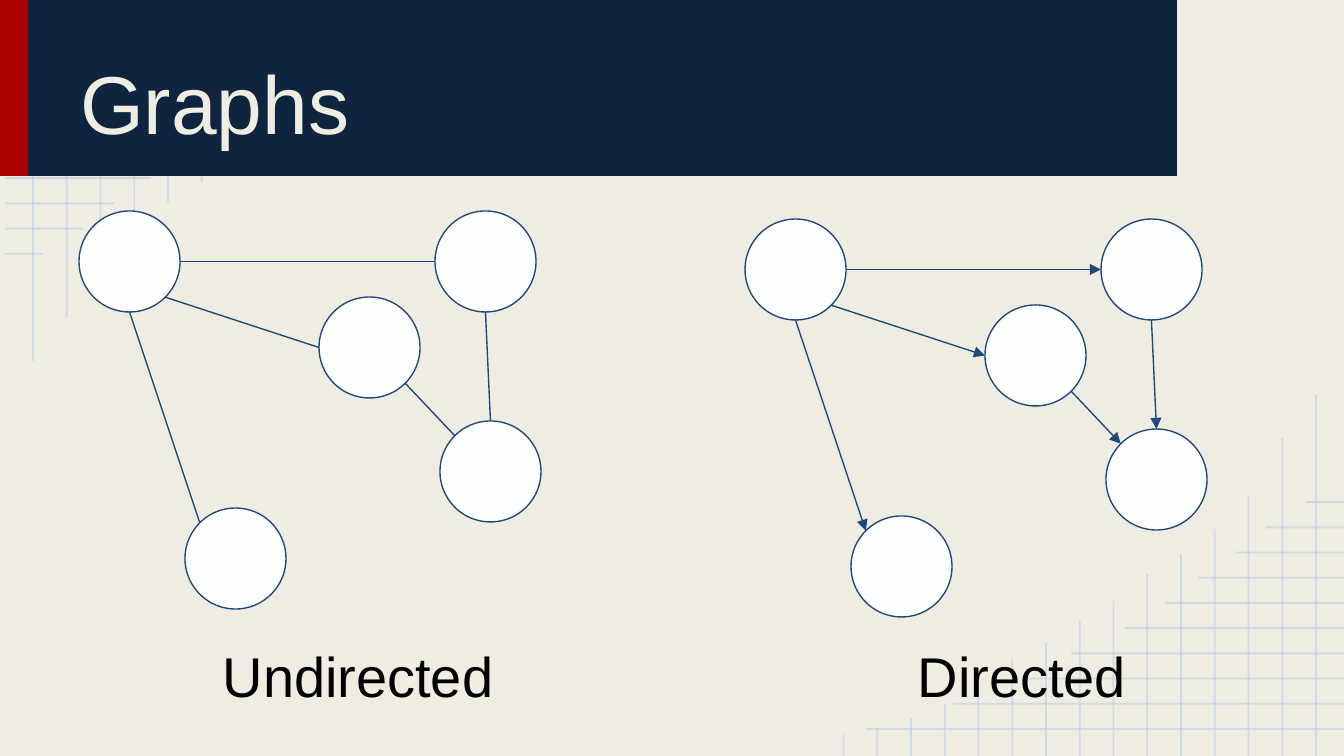
import math
from dataclasses import dataclass

import pptx
import pptx.util
from lxml import etree
from pptx.dml.color import RGBColor
from pptx.enum.shapes import MSO_CONNECTOR, MSO_SHAPE
from pptx.enum.text import MSO_ANCHOR, PP_ALIGN
from pptx.oxml.ns import qn


@dataclass(frozen=True)
class Theme:
    paper: str = "EFEDE2"
    navy: str = "0F243E"
    red: str = "AB0101"
    grid: str = "B7CCE4"
    node: str = "FDFFFF"
    edge: str = "1F497D"
    ink: str = "000000"
    font: str = "Arial"
    title_pt: int = 44
    caption_pt: int = 30
    grid_pt: float = 1
    edge_pt: float = 0.75
    grid_alpha: int = 54


THEME = Theme()
WIDTH, HEIGHT = 1344, 756
EMU_PER_PX = 914400 / 134.4

TITLE = ("Graphs", (67, 15, 1075, 149))
HEADER = [(THEME.red, (0, 0, 28, 176)), (THEME.navy, (28, 0, 1149, 176))]

# Corner grid, measured from the top left; the other corner is the same, turned by 180 degrees
ROW_ENDS = [482, 396, 324, 278, 224, 184, 151, 114, 83, 43]
COLUMN_ENDS = [361, 318, 260, 227, 202, 182, 155, 135, 113, 97, 75, 52, 38, 27, 21]
ROW_START, FIRST_ROW, ROW_STEP = 5, 27, 25.2
FIRST_COLUMN, COLUMN_STEP = 33, 33.75
GRID_TURN = (1349, 756)

NODE_SIZE = 101
NODES = {"a": (0, 0), "b": (356, 0), "c": (240, 86), "d": (361, 210), "e": (106, 297)}
# Start node and the angle it is left at, end node and the angle it is reached at
EDGES = [
    ("a", 0, "b", 180),
    ("a", 90, "e", 225),
    ("a", 45, "c", 180),
    ("b", 90, "d", 270),
    ("c", 45, "d", 225),
]
GRAPHS = [
    {"caption": "Undirected", "origin": (79, 211), "caption_box": (59, 628, 598, 114), "directed": False},
    {"caption": "Directed", "origin": (745, 219), "caption_box": (723, 628, 598, 114), "directed": True},
]


def px(value):
    return pptx.util.Emu(round(value * EMU_PER_PX))


def rgb(code):
    return RGBColor.from_string(code)


def add_line(slide, start, end, color, width, alpha=None, arrow=False):
    line = slide.shapes.add_connector(MSO_CONNECTOR.STRAIGHT, *map(px, (*start, *end)))
    line.line.color.rgb = rgb(color)
    line.line.width = pptx.util.Pt(width)
    properties = line._element.spPr
    outline = properties.find(qn("a:ln"))
    if alpha is not None:
        color_node = outline.find(".//" + qn("a:srgbClr"))
        etree.SubElement(color_node, qn("a:alpha"), val=str(alpha * 1000))
    if arrow:
        etree.SubElement(outline, qn("a:tailEnd"), type="triangle")
    etree.SubElement(properties, qn("a:effectLst"))


def add_filled(slide, kind, box, fill, outline=None):
    shape = slide.shapes.add_shape(kind, *map(px, box))
    shape.shadow.inherit = False
    shape.fill.solid()
    shape.fill.fore_color.rgb = rgb(fill)
    if outline:
        shape.line.color.rgb = rgb(outline)
        shape.line.width = pptx.util.Pt(THEME.edge_pt)
    else:
        shape.line.fill.background()


def add_text(slide, text, box, size, color, align, anchor):
    frame = slide.shapes.add_textbox(*map(px, box)).text_frame
    frame.word_wrap = True
    frame.vertical_anchor = anchor
    frame.margin_left = frame.margin_right = pptx.util.Inches(0.1)
    frame.margin_top = frame.margin_bottom = pptx.util.Inches(0.1)
    frame.text = text
    paragraph = frame.paragraphs[0]
    paragraph.alignment = align
    font = paragraph.runs[0].font
    font.name, font.size = THEME.font, pptx.util.Pt(size)
    font.color.rgb = rgb(color)


def add_corner_grids(slide):
    lines = []
    for i, end in enumerate(ROW_ENDS):
        y = FIRST_ROW + i * ROW_STEP
        lines.append(((ROW_START, y), (end, y)))
    for i, end in enumerate(COLUMN_ENDS):
        x = FIRST_COLUMN + i * COLUMN_STEP
        lines.append(((x, end), (x, 0)))
    turned = [
        tuple((GRID_TURN[0] - x, GRID_TURN[1] - y) for x, y in line) for line in lines
    ]
    for start, end in lines + turned:
        add_line(slide, start, end, THEME.grid, THEME.grid_pt, alpha=THEME.grid_alpha)


def rim_point(origin, node, angle):
    """Point on the circle of a node, with the angle in degrees clockwise from the right."""
    radius = NODE_SIZE / 2
    turn = math.radians(angle)
    x, y = NODES[node]
    return (
        origin[0] + x + radius * (1 + math.cos(turn)),
        origin[1] + y + radius * (1 + math.sin(turn)),
    )


def add_graph(slide, graph):
    origin = graph["origin"]
    for x, y in NODES.values():
        box = (origin[0] + x, origin[1] + y, NODE_SIZE, NODE_SIZE)
        add_filled(slide, MSO_SHAPE.OVAL, box, THEME.node, THEME.edge)
    for source, leave, target, reach in EDGES:
        add_line(
            slide,
            rim_point(origin, source, leave),
            rim_point(origin, target, reach),
            THEME.edge,
            THEME.edge_pt,
            arrow=graph["directed"],
        )
    add_text(slide, graph["caption"], graph["caption_box"], THEME.caption_pt,
             THEME.ink, PP_ALIGN.CENTER, MSO_ANCHOR.TOP)


def main():
    deck = pptx.Presentation()
    deck.slide_width, deck.slide_height = px(WIDTH), px(HEIGHT)
    slide = deck.slides.add_slide(deck.slide_layouts[6])
    slide.background.fill.solid()
    slide.background.fill.fore_color.rgb = rgb(THEME.paper)

    add_corner_grids(slide)
    for color, box in HEADER:
        add_filled(slide, MSO_SHAPE.RECTANGLE, box, color)
    add_text(slide, *TITLE, THEME.title_pt, THEME.paper, PP_ALIGN.LEFT, MSO_ANCHOR.BOTTOM)
    for graph in GRAPHS:
        add_graph(slide, graph)
    deck.save("out.pptx")


if __name__ == "__main__":
    main()
